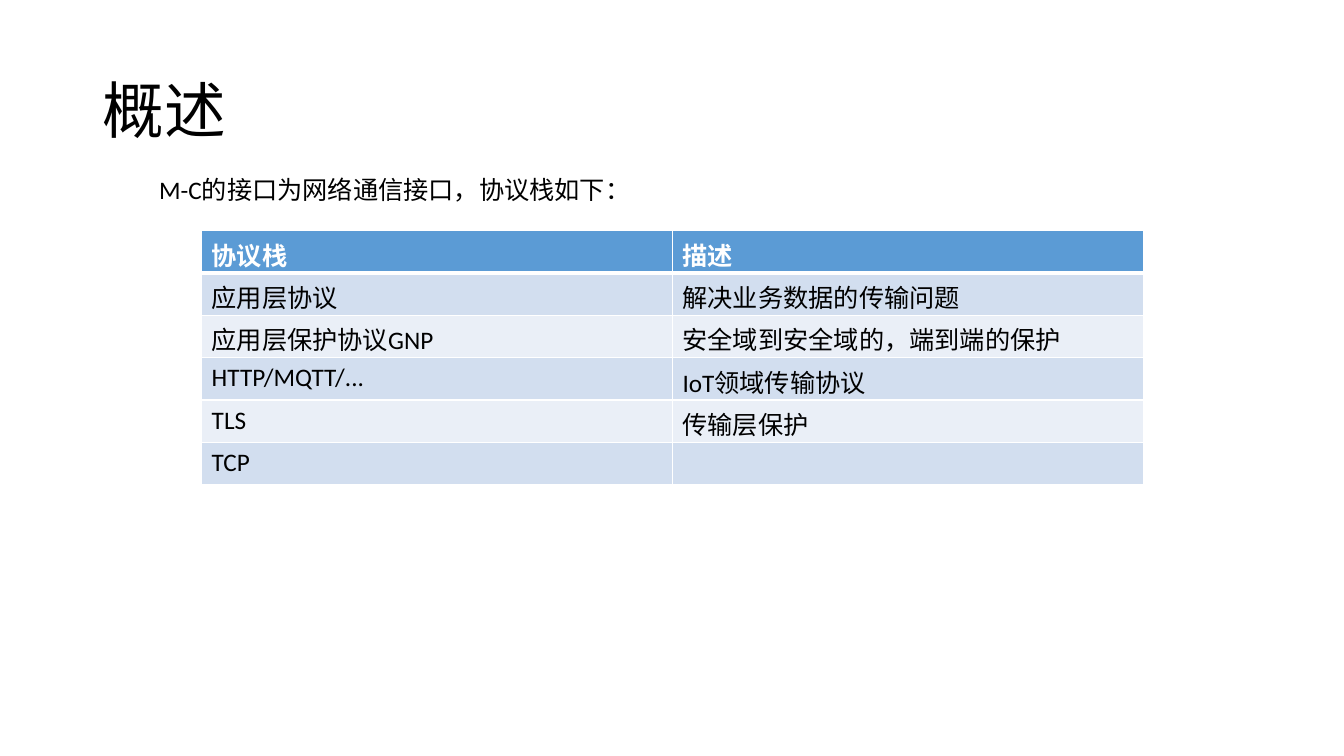
from lxml import etree
from pptx import Presentation
from pptx.dml.color import RGBColor
from pptx.enum.text import MSO_ANCHOR, MSO_AUTO_SIZE, PP_ALIGN
from pptx.oxml.ns import qn
from pptx.util import Inches, Pt

MIDDLE = MSO_ANCHOR.MIDDLE
NO_FIT = MSO_AUTO_SIZE.NONE
GROW = MSO_AUTO_SIZE.SHAPE_TO_FIT_TEXT
LEFT = PP_ALIGN.LEFT

BLACK = RGBColor(0x00, 0x00, 0x00)
WHITE = RGBColor(0xFF, 0xFF, 0xFF)
HEADER_BLUE = RGBColor(0x5B, 0x9B, 0xD5)
BANDS = (RGBColor(0xEA, 0xEF, 0xF7), RGBColor(0xD2, 0xDE, 0xEF))

PROTOCOL_ROWS = [
    ("协议栈", "描述"),
    ("应用层协议", "解决业务数据的传输问题"),
    ("应用层保护协议GNP", "安全域到安全域的，端到端的保护"),
    ("HTTP/MQTT/...", "IoT领域传输协议"),
    ("TLS", "传输层保护"),
    ("TCP", ""),
]


class SlideBuilder:
    FONT = "Calibri"
    BODY_SIZE = 18
    TITLE_SIZE = 44

    def __init__(self, page):
        self.page = page

    def format_text(self, frame, size=BODY_SIZE, color=BLACK, bold=False):
        for para in frame.paragraphs:
            for span in para.runs:
                span.font.name = self.FONT
                span.font.size = Pt(size)
                span.font.bold = bold
                span.font.color.rgb = color

    def title(self, text, left, top, width, height):
        box = self.page.shapes.title
        box.left, box.top = Inches(left), Inches(top)
        box.width, box.height = Inches(width), Inches(height)
        frame = box.text_frame
        frame.text = text
        frame.auto_size = NO_FIT
        frame.vertical_anchor = MIDDLE
        frame.paragraphs[0].alignment = LEFT
        frame.paragraphs[0].line_spacing = 0.9
        self.format_text(frame, self.TITLE_SIZE)

    def text(self, text, left, top, width, height):
        box = self.page.shapes.add_textbox(
            Inches(left), Inches(top), Inches(width), Inches(height))
        frame = box.text_frame
        frame.text = text
        frame.word_wrap = True
        frame.auto_size = GROW
        self.format_text(frame)

    def cell_borders(self, cell, top, bottom):
        """Draw white borders; top and bottom are widths in points."""
        properties = cell._tc.get_or_add_tcPr()
        for side, width in (("L", 1), ("R", 1), ("T", top), ("B", bottom)):
            line = etree.SubElement(properties, qn(f"a:ln{side}"), w=str(Pt(width)))
            fill = etree.SubElement(line, qn("a:solidFill"))
            etree.SubElement(fill, qn("a:srgbClr"), val=str(WHITE))

    def table(self, rows, left, top, column_width, row_height):
        columns = len(rows[0])
        table = self.page.shapes.add_table(
            len(rows), columns, Inches(left), Inches(top),
            Inches(column_width * columns), Inches(row_height * len(rows))).table
        for column in table.columns:
            column.width = Inches(column_width)
        for index, texts in enumerate(rows):
            table.rows[index].height = Inches(row_height)
            header = index == 0
            for cell, text in zip(table.rows[index].cells, texts):
                self.cell_borders(cell, top=3 if index == 1 else 1,
                                  bottom=3 if header else 1)
                cell.fill.solid()
                cell.fill.fore_color.rgb = HEADER_BLUE if header else BANDS[index % 2]
                cell.text_frame.text = text
                self.format_text(cell.text_frame, bold=header,
                                 color=WHITE if header else BLACK)


def main():
    deck = Presentation()
    deck.slide_width, deck.slide_height = Inches(13.33), Inches(7.5)
    title_only = deck.slide_layouts[5]
    builder = SlideBuilder(deck.slides.add_slide(title_only))
    builder.title("概述", 0.92, 0.4, 11.5, 1.45)
    builder.text("M-C的接口为网络通信接口，协议栈如下：", 1.48, 1.68, 5.1, 0.4)
    builder.table(PROTOCOL_ROWS, 2, 2.29, column_width=4.67, row_height=0.42)
    deck.save("out.pptx")


if __name__ == "__main__":
    main()
